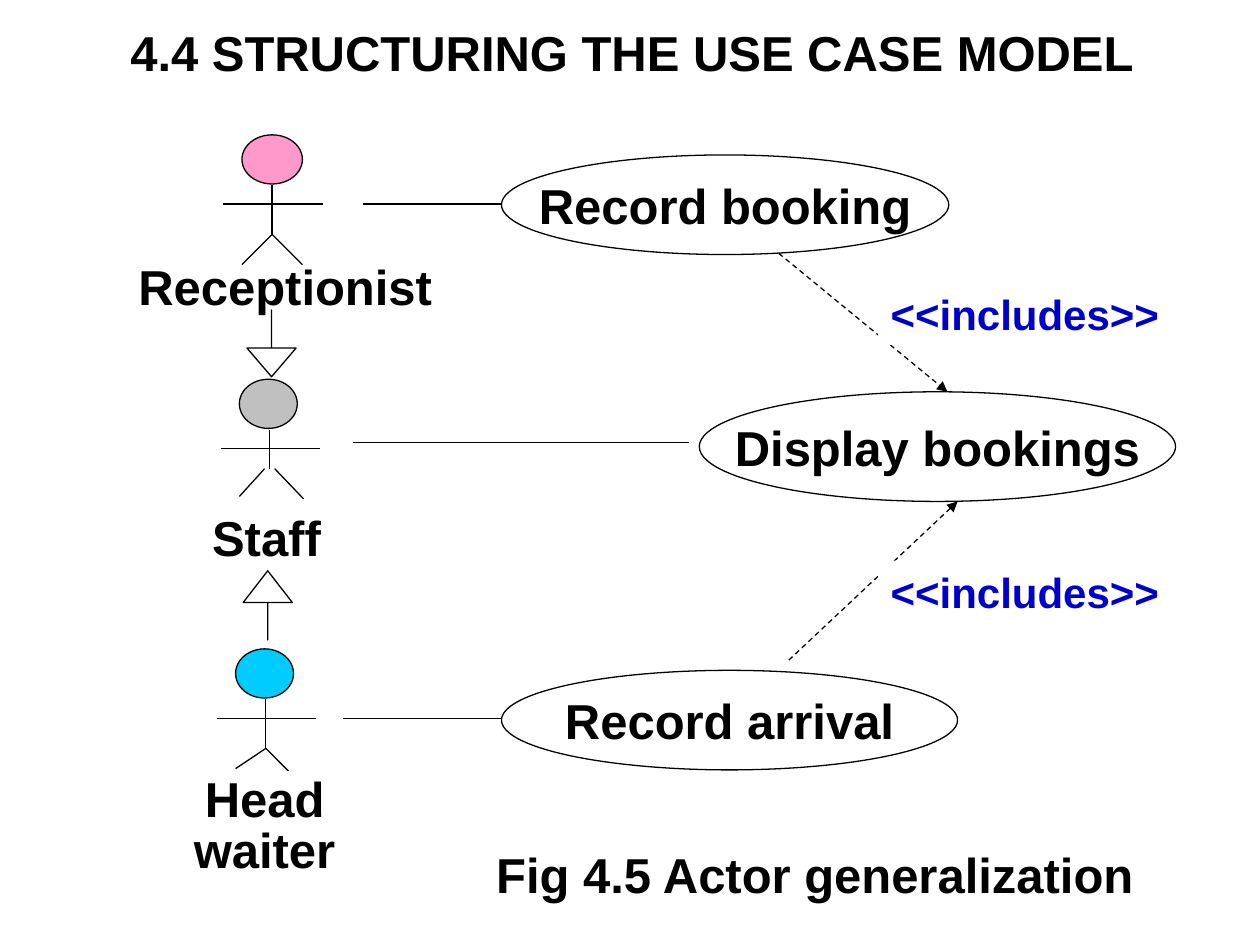
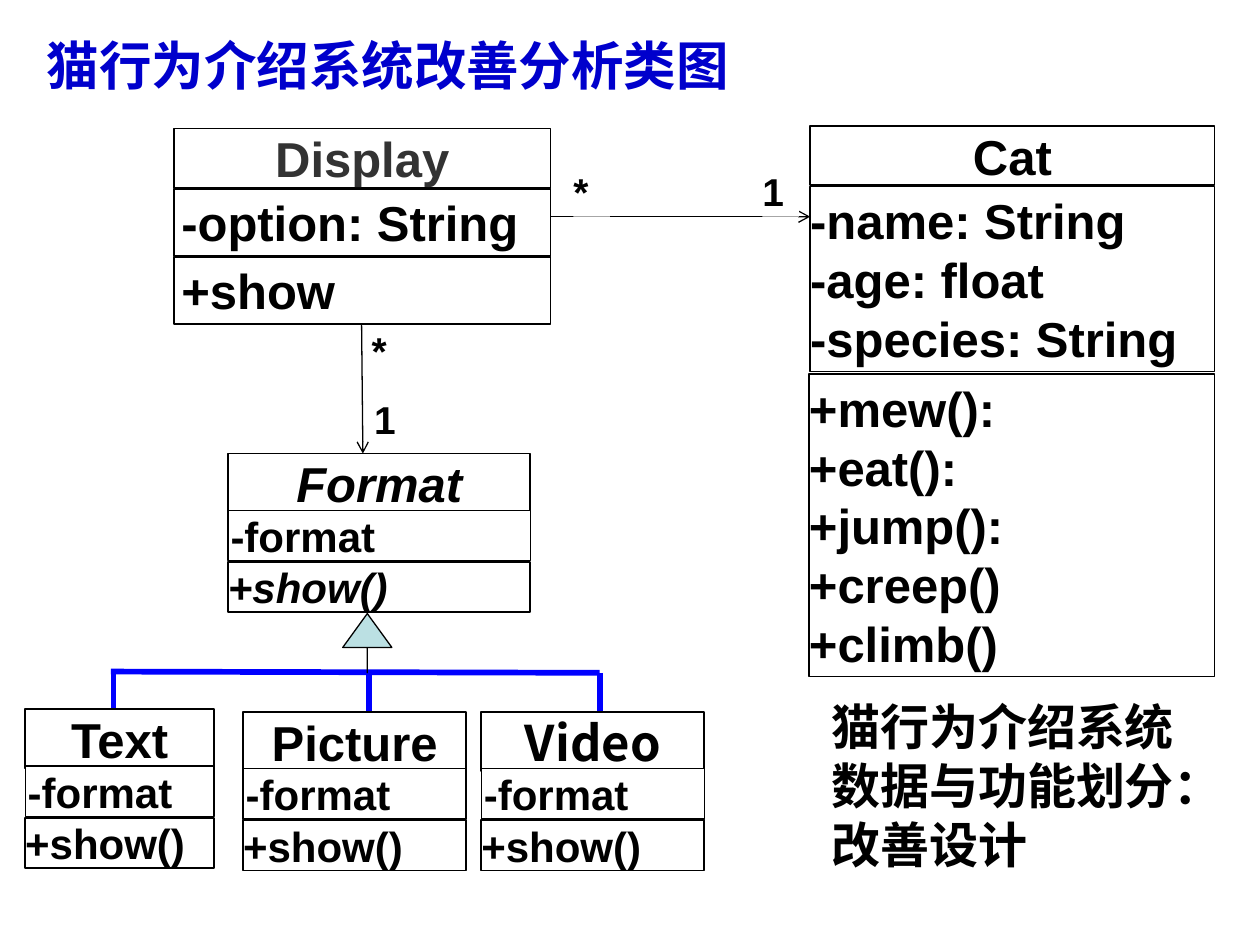
from lxml import etree
from pptx import Presentation
from pptx.dml.color import RGBColor
from pptx.enum.dml import MSO_LINE
from pptx.enum.shapes import MSO_CONNECTOR, MSO_SHAPE
from pptx.enum.text import MSO_ANCHOR, MSO_AUTO_SIZE, PP_ALIGN
from pptx.oxml.ns import qn
from pptx.util import Inches, Pt

# Shared look
BLACK = RGBColor(0x00, 0x00, 0x00)
WHITE = RGBColor(0xFF, 0xFF, 0xFF)
DARK_GREY = RGBColor(0x33, 0x33, 0x33)
GREY = RGBColor(0xC0, 0xC0, 0xC0)
PINK = RGBColor(0xFF, 0x99, 0xCC)
CYAN = RGBColor(0x00, 0xCC, 0xFF)
PALE_TEAL = RGBColor(0xBB, 0xE0, 0xE3)
NAVY = RGBColor(0x00, 0x00, 0xCC)
BLUE = RGBColor(0x00, 0x00, 0xFF)
LATIN, CJK = "Arial", "Noto Sans CJK SC"
LEFT, CENTER = PP_ALIGN.LEFT, PP_ALIGN.CENTER
TOP, MIDDLE = MSO_ANCHOR.TOP, MSO_ANCHOR.MIDDLE
PADDED = (0.1, 0.05, 0.1, 0.05)
FLUSH = (0, 0, 0, 0)


def write(sp, lines, size=28, color=BLACK, font=LATIN, align=LEFT, anchor=TOP,
          insets=PADDED, wrap=True, italic=False, spacing=None):
    """Put one bold paragraph per line into a shape."""
    tf = sp.text_frame
    tf.word_wrap, tf.auto_size = wrap, MSO_AUTO_SIZE.NONE
    tf.vertical_anchor = anchor
    (tf.margin_left, tf.margin_top,
     tf.margin_right, tf.margin_bottom) = map(Inches, insets)
    tf.text = "\n".join(lines)
    for p in tf.paragraphs:
        p.alignment = align
        if spacing:
            p.line_spacing = spacing
        p.font.size, p.font.bold, p.font.italic = Pt(size), True, italic
        p.font.name = font
        p.font.color.rgb = color
        if font == CJK:
            props = p._p.pPr.find(qn("a:defRPr"))
            latin = props.find(qn("a:latin"))
            ea = etree.Element(qn("a:ea"), typeface=font)
            latin.addnext(ea)


def add_title(prs, text, box, **style):
    slide = prs.slides.add_slide(prs.slide_layouts[5])
    title = slide.shapes.title
    title.left, title.top, title.width, title.height = map(Inches, box)
    write(title, [text], **style)
    return slide.shapes


def add_figure(shapes, kind, box, fill=WHITE, line=0.75):
    sp = shapes.add_shape(kind, *map(Inches, box))
    sp.shadow.inherit = False
    sp.fill.solid()
    sp.fill.fore_color.rgb = fill
    if line:
        sp.line.color.rgb = BLACK
        sp.line.width = Pt(line)
    else:
        sp.line.fill.background()
    return sp


def add_line(shapes, start, end, color=BLACK, width=0.75, dash=False, head=None):
    line = shapes.add_connector(MSO_CONNECTOR.STRAIGHT,
                                *map(Inches, (*start, *end)))
    line.line.color.rgb = color
    line.line.width = Pt(width)
    if dash:
        line.line.dash_style = MSO_LINE.DASH
    props = line._element.spPr
    if head:
        etree.SubElement(props.find(qn("a:ln")), qn("a:tailEnd"), type=head)
    etree.SubElement(props, qn("a:effectLst"))


def add_label(shapes, text, box, **style):
    """White text block that hides whatever lies behind it."""
    write(add_figure(shapes, MSO_SHAPE.RECTANGLE, box, line=None), [text], **style)


def add_use_case(shapes, text, box):
    write(add_figure(shapes, MSO_SHAPE.OVAL, box), [text],
          align=CENTER, anchor=MIDDLE, wrap=False)


def add_generalization(shapes, box, head, fill=WHITE, rotation=0):
    """Hollow triangle on a thin shaft."""
    arrow = add_figure(shapes, MSO_SHAPE.UP_ARROW, box, fill)
    arrow.adjustments[0], arrow.adjustments[1] = 0, head
    arrow.rotation = rotation


def add_actor(shapes, cx, top, color, head_width=0.46, body=0.39,
              hip_gap=0, left_foot=(-0.24, 1.03), right_foot=(0.24, 1.03)):
    parts = shapes.add_group_shape().shapes
    add_figure(parts, MSO_SHAPE.OVAL, (cx - 0.24, top, head_width, 0.39), color)
    arms, neck = top + 0.55, top + 0.4
    hip = neck + body
    add_line(parts, (cx - 0.39, arms), (cx + 0.4, arms))
    add_line(parts, (cx, neck), (cx, hip))
    for side, (dx, dy) in ((-1, left_foot), (1, right_foot)):
        add_line(parts, (cx + side * hip_gap, hip), (cx + dx, top + dy))


def add_compartment(shapes, box, lines, insets=FLUSH, line=1, anchor=MIDDLE, **style):
    write(add_figure(shapes, MSO_SHAPE.RECTANGLE, box, line=line), lines,
          insets=insets, anchor=anchor, **style)


def add_format_class(shapes, left, top, width, name, abstract=False, font=LATIN):
    """Class with one format attribute and one show() operation."""
    add_compartment(shapes, (left, top, width, 0.47), [name],
                    align=CENTER, italic=abstract, font=font)
    add_compartment(shapes, (left, top + 0.86, width, 0.4), ["+show()"],
                    size=24, italic=abstract)
    add_compartment(shapes, (left, top + 0.45, width, 0.4), ["-format"], size=24,
                    insets=(0.02, 0, 0.1, 0), line=0.75, anchor=TOP)


def build_use_case_slide(prs):
    shapes = add_title(prs, "4.4 STRUCTURING THE USE CASE MODEL",
                       (0.83, 0.13, 8.37, 0.57), align=CENTER)

    # Actors and their names
    add_label(shapes, "Receptionist", (1, 1.99, 2.53, 0.57), wrap=False)
    add_actor(shapes, 2.16, 1.07, PINK, head_width=0.48)
    add_actor(shapes, 2.14, 3.01, GREY, body=0.31, hip_gap=0.04,
              left_foot=(-0.24, 0.93), right_foot=(0.27, 0.95))
    add_label(shapes, "Staff", (1.51, 3.98, 1.21, 0.57), align=CENTER)
    add_actor(shapes, 2.11, 5.15, CYAN, left_foot=(-0.24, 0.95))
    add_label(shapes, "Head waiter", (1.26, 6.12, 1.68, 0.91),
              align=CENTER, spacing=0.86)
    add_generalization(shapes, (1.93, 4.53, 0.39, 0.55), 0.646)
    add_generalization(shapes, (1.96, 2.46, 0.39, 0.53), 0.585, rotation=180)

    # Use cases and associations
    for x1, x2, y in ((2.88, 3.98, 1.62), (2.8, 5.47, 3.51), (2.72, 3.98, 5.7)):
        add_line(shapes, (x1, y), (x2, y))
    add_use_case(shapes, "Record booking", (3.98, 1.23, 3.55, 0.79))
    add_use_case(shapes, "Display bookings", (5.55, 3.11, 3.78, 0.87))
    add_use_case(shapes, "Record arrival", (3.98, 5.32, 3.62, 0.79))

    # Include dependencies
    for start, end, label_top in (((6.18, 2.01), (7.52, 3.11), 2.24),
                                  ((6.26, 5.24), (7.6, 3.98), 4.45)):
        add_line(shapes, start, end, dash=True, head="triangle")
        add_label(shapes, "<<includes>>", (6.97, label_top, 2.52, 0.5),
                  size=24, color=NAVY)

    caption = shapes.add_textbox(*map(Inches, (3.84, 6.74, 5.27, 0.48)))
    write(caption, ["Fig 4.5 Actor generalization"], wrap=False, spacing=0.8)


def build_class_slide(prs):
    shapes = add_title(prs, "猫行为介绍系统改善分析类图", (0.27, 0.21, 5.77, 0.6),
                       size=30, color=NAVY, font=CJK, anchor=MIDDLE)

    # Cat class
    rows = (0, 0.03, 0, 0.03)
    add_compartment(shapes, (6.43, 1, 3.21, 0.47), ["Cat"], align=CENTER)
    add_compartment(shapes, (6.43, 1.48, 3.21, 1.47),
                    ["-name: String", "-age: float", "-species: String"], rows)
    add_compartment(shapes, (6.42, 2.97, 3.22, 2.4),
                    ["+mew():", "+eat():", "+jump():", "+creep()", "+climb()"], rows)

    # Display class
    rows = (0.06, 0.03, 0.06, 0.03)
    add_compartment(shapes, (1.38, 1.02, 2.99, 0.47), ["Display"],
                    align=CENTER, color=DARK_GREY)
    add_compartment(shapes, (1.38, 1.5, 2.99, 0.53), ["-option: String"], rows)
    add_compartment(shapes, (1.38, 2.04, 2.99, 0.53), ["+show"], rows)

    # Inheritance tree
    add_format_class(shapes, 1.81, 3.6, 2.4, "Format", abstract=True)
    for start, end in (((0.88, 5.33), (4.76, 5.34)), ((0.9, 5.32), (0.9, 5.79)),
                       ((2.93, 5.33), (2.93, 5.72)), ((4.76, 5.34), (4.76, 5.74))):
        add_line(shapes, start, end, BLUE, 3.25)
    add_generalization(shapes, (2.72, 4.87, 0.39, 0.47), 0.69, PALE_TEAL)
    add_format_class(shapes, 0.2, 5.63, 1.5, "Text")
    add_format_class(shapes, 1.93, 5.65, 1.77, "Picture")
    add_format_class(shapes, 3.82, 5.65, 1.77, "Video", font=CJK)

    # Associations with multiplicities
    add_line(shapes, (4.37, 1.72), (6.43, 1.72), head="arrow")
    add_line(shapes, (2.87, 2.57), (2.88, 3.6), head="arrow")
    for text, left, top in (("*", 4.55, 1.33), ("1", 6.05, 1.33),
                            ("*", 2.95, 2.59), ("1", 2.97, 3.14)):
        add_label(shapes, text, (left, top, 0.29, 0.39), size=22.2, insets=FLUSH)

    note = shapes.add_textbox(*map(Inches, (6.5, 5.48, 3.15, 1.5)))
    write(note, ["猫行为介绍系统数据与功能划分：", "改善设计"], font=CJK)


def main():
    prs = Presentation()
    prs.slide_width, prs.slide_height = Inches(10), Inches(7.5)
    build_use_case_slide(prs)
    build_class_slide(prs)
    prs.save("out.pptx")


if __name__ == "__main__":
    main()
